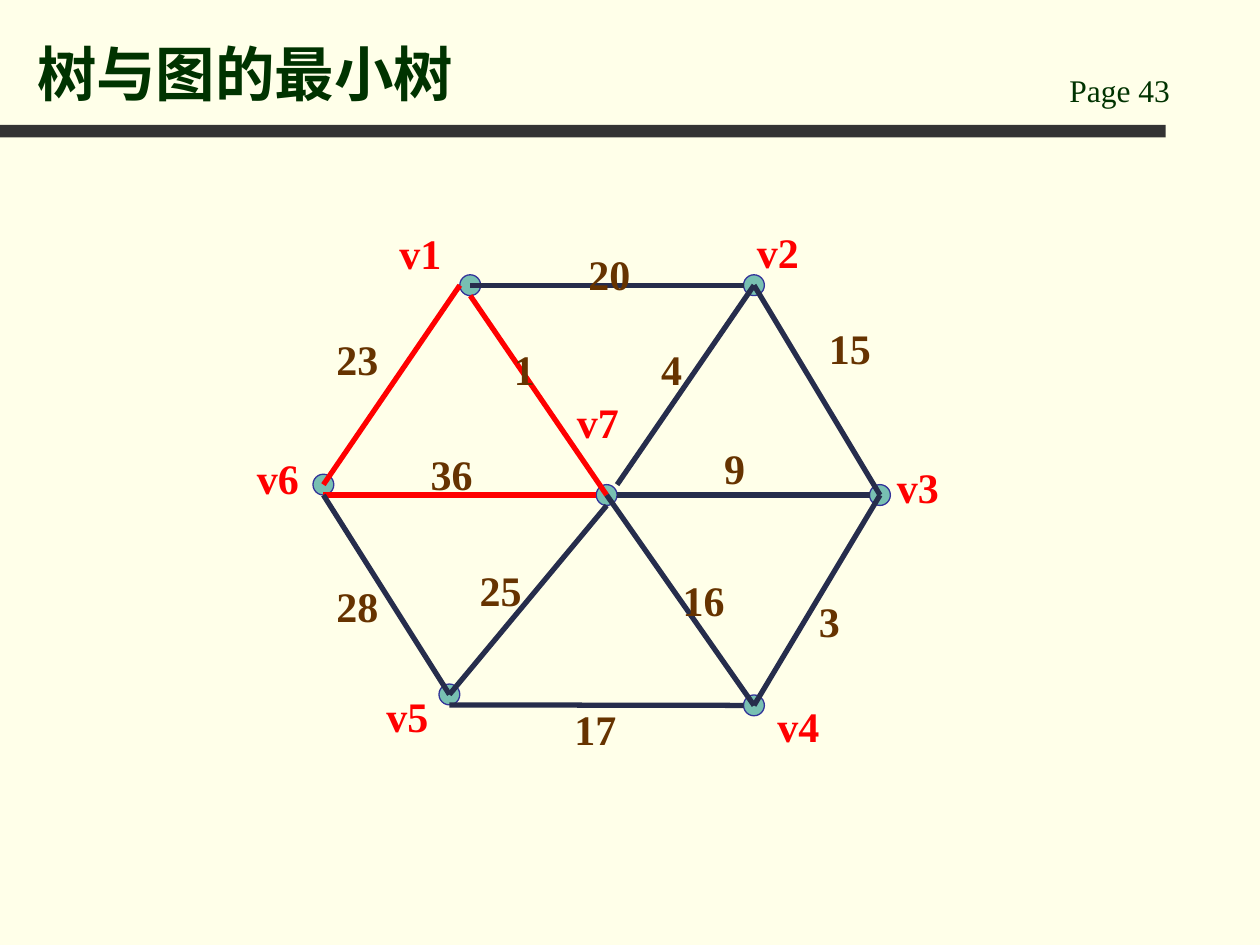
import pptx
import pptx.dml.color
import pptx.enum.shapes
import pptx.enum.text
import pptx.oxml
import pptx.oxml.ns
import pptx.util
from pptx.util import Cm

COLORS = {
    "background": "FFFFE9", "bar": "333333", "heading": "003300",
    "node": "78C0B2", "node_line": "333399", "edge": "262D4C",
    "cycle": "FF0000", "weight": "663300",
}
FONT = "Times New Roman"
RADIUS = 0.21
LABEL_SIZE = (1.47, 1.27)

# name: centre, top left of label
NODES = {
    "v1": ((4.58, 1.35), (2.9, 0.07)),
    "v2": ((10.3, 1.35), (10.11, 0.05)),
    "v3": ((12.84, 5.58), (12.93, 4.77)),
    "v4": ((10.3, 9.82), (10.52, 9.6)),
    "v5": ((4.16, 9.6), (2.64, 9.39)),
    "v6": ((1.62, 5.37), (0.03, 4.59)),
    "v7": ((7.33, 5.58), (6.48, 3.47)),
}
CENTER, LEFT, RIGHT, BOTTOM, TOP_RIGHT = (0, 0), (-1, 0), (1, 0), (0, 1), (1, -1)
# start, its side, end, its side, weight, top left of label, colour
EDGES = [
    ("v1", CENTER, "v2", LEFT, "20", (6.71, 0.48), "edge"),
    ("v1", LEFT, "v6", CENTER, "23", (1.63, 2.2), "cycle"),
    ("v2", CENTER, "v3", CENTER, "15", (11.56, 1.98), "edge"),
    ("v1", BOTTOM, "v7", CENTER, "1", (5.21, 2.41), "cycle"),
    ("v2", CENTER, "v7", TOP_RIGHT, "4", (8.18, 2.41), "edge"),
    ("v6", BOTTOM, "v7", LEFT, "36", (3.53, 4.52), "cycle"),
    ("v7", RIGHT, "v3", LEFT, "9", (9.45, 4.39), "edge"),
    ("v6", BOTTOM, "v5", CENTER, "28", (1.63, 7.18), "edge"),
    ("v7", BOTTOM, "v5", CENTER, "25", (4.52, 6.85), "edge"),
    ("v7", CENTER, "v4", CENTER, "16", (8.61, 7.06), "edge"),
    ("v5", BOTTOM, "v4", LEFT, "17", (6.43, 9.65), "edge"),
    ("v3", CENTER, "v4", CENTER, "3", (11.36, 7.49), "edge"),
]


def rgb(name):
    return pptx.dml.color.RGBColor.from_string(COLORS[name])


def add_text(shapes, place, text, color, size, bold=False, anchor="TOP"):
    box = shapes.add_textbox(*map(Cm, place))
    frame = box.text_frame
    frame.word_wrap = True
    frame.vertical_anchor = pptx.enum.text.MSO_ANCHOR[anchor]
    para = frame.paragraphs[0]
    span = para.add_run()
    span.text = text
    formats = {"name": FONT, "size": pptx.util.Pt(size), "bold": bold}
    for key, value in formats.items():
        setattr(span.font, key, value)
    span.font.color.rgb = rgb(color)
    return para


def add_label(shapes, x, y, text, color):
    """Bold graph label with half a line of space before it."""
    para = add_text(shapes, (x, y, *LABEL_SIZE), text, color, 24, bold=True)
    para.space_before = pptx.util.Pt(12)
    spacing = para._p.pPr.find(pptx.oxml.ns.qn("a:spcBef"))
    spacing.remove(spacing[0])
    percent = pptx.oxml.parse_xml(
        f'<a:spcPct {pptx.oxml.ns.nsdecls("a")} val="50000"/>')
    spacing.append(percent)


def add_filled(shapes, kind, place, fill, line=None):
    shape = shapes.add_shape(
        pptx.enum.shapes.MSO_SHAPE[kind], *map(Cm, place))
    shape.shadow.inherit = False
    shape.fill.solid()
    shape.fill.fore_color.rgb = rgb(fill)
    if line:
        shape.line.color.rgb = rgb(line)
        shape.line.width = pptx.util.Pt(0.75)
    else:
        shape.line.fill.background()


def add_edge(shapes, start, end, color):
    edge = shapes.add_connector(
        pptx.enum.shapes.MSO_CONNECTOR.STRAIGHT, *map(Cm, start + end))
    edge.line.color.rgb = rgb(color)
    edge.line.width = pptx.util.Pt(3)
    edge._element.spPr.append(pptx.oxml.parse_xml(
        f'<a:effectLst {pptx.oxml.ns.nsdecls("a")}/>'))


def add_header(page, left, top, width):
    add_filled(page.shapes, "RECTANGLE", (left, top + 2.52, width, 0.25), "bar")
    add_text(page.shapes, (left + 21.31, top + 1.3, 3.6, 1.02),
             "Page 43", "heading", 18)
    add_text(page.shapes, (left + 0.5, top + 0.33, 20.4, 1.98),
             "树与图的最小树", "heading", 34, bold=True, anchor="BOTTOM")


def add_graph(page, left, top):
    shapes = page.shapes.add_group_shape().shapes

    def node_point(name, side):
        (x, y), _ = NODES[name]
        return left + x + side[0] * RADIUS, top + y + side[1] * RADIUS

    for name in NODES:
        x, y = node_point(name, (-1, -1))
        add_filled(shapes, "OVAL", (x, y, 2 * RADIUS, 2 * RADIUS),
                   "node", "node_line")
    for start, start_side, end, end_side, _, _, color in EDGES:
        add_edge(shapes, node_point(start, start_side),
                 node_point(end, end_side), color)
    for name, (_, (x, y)) in NODES.items():
        add_label(shapes, left + x, top + y, name, "cycle")
    for *_, weight, (x, y), _ in EDGES:
        add_label(shapes, left + x, top + y, weight, "weight")


def main():
    deck = pptx.Presentation()
    deck.slide_width, deck.slide_height = Cm(25.4), Cm(19.05)
    page = deck.slides.add_slide(deck.slide_layouts[6])
    page.background.fill.solid()
    page.background.fill.fore_color.rgb = rgb("background")
    add_header(page, 0, 0, 23.5)
    add_graph(page, 4.9, 4.4)
    deck.save("out.pptx")


if __name__ == "__main__":
    main()
